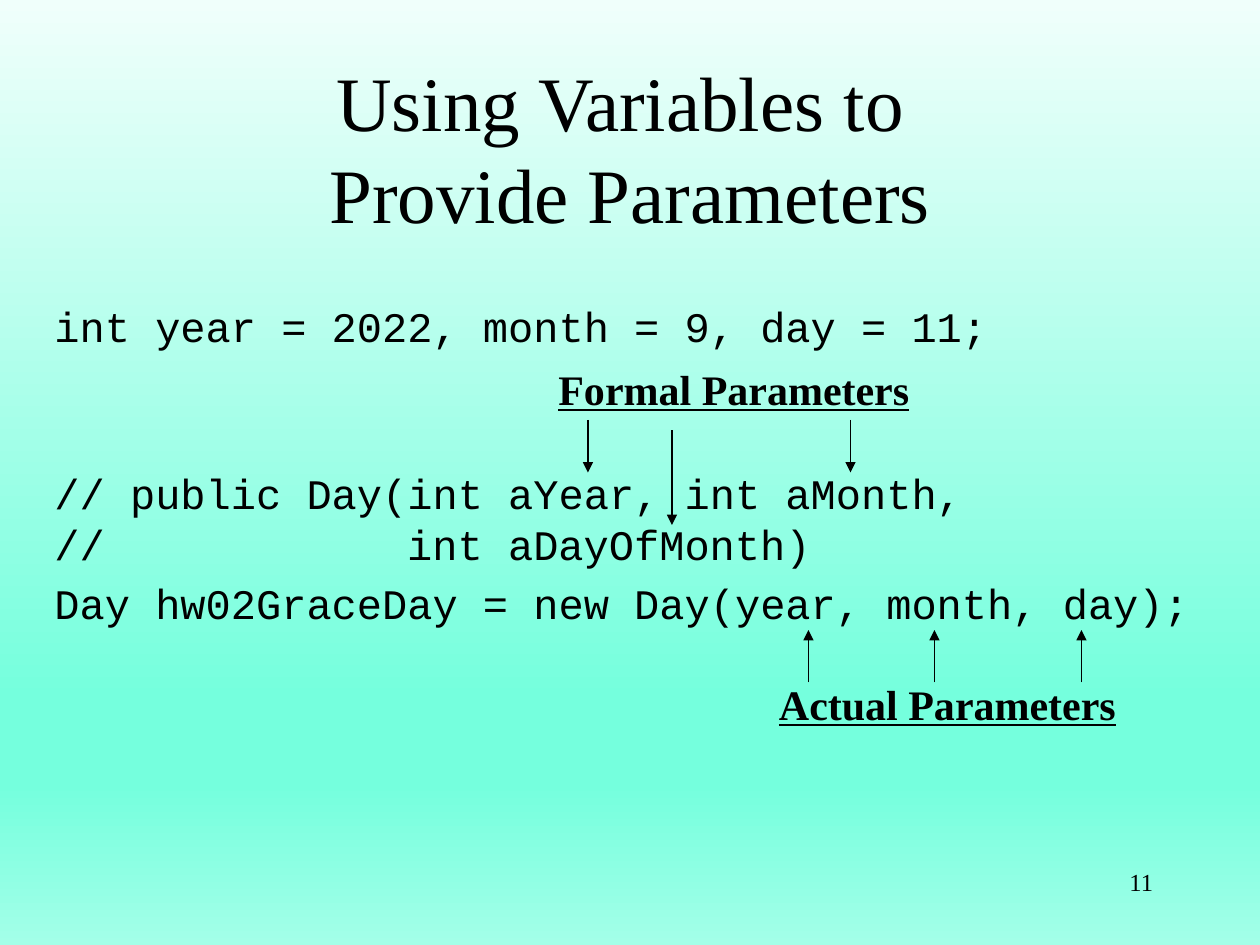
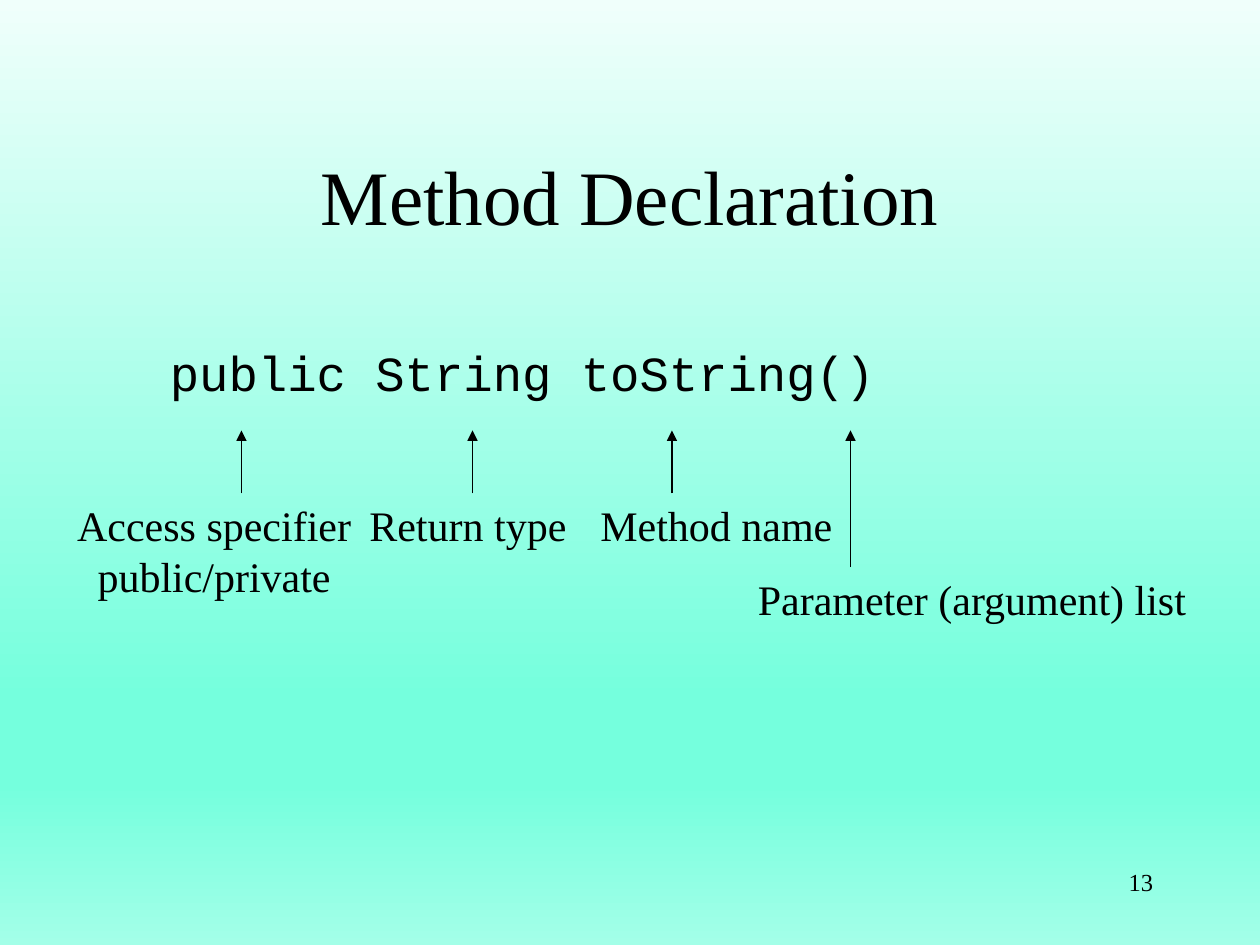
from collections import namedtuple
from copy import deepcopy

from lxml import etree
from pptx import Presentation
from pptx.dml.color import RGBColor
from pptx.enum.shapes import MSO_CONNECTOR
from pptx.enum.text import MSO_ANCHOR, PP_ALIGN
from pptx.oxml.ns import qn
from pptx.util import Inches, Pt

LEFT, CENTER, RIGHT = PP_ALIGN.LEFT, PP_ALIGN.CENTER, PP_ALIGN.RIGHT
TOP, MIDDLE = MSO_ANCHOR.TOP, MSO_ANCHOR.MIDDLE
STRAIGHT = MSO_CONNECTOR.STRAIGHT

INK = RGBColor(0x00, 0x00, 0x00)
MINT_WHITE = RGBColor(0xF0, 0xFF, 0xFB)
MINT = RGBColor(0x75, 0xFF, 0xDD)
MINT_PALE = RGBColor(0xA3, 0xFF, 0xE8)
BACKGROUND_STOPS = [(0, MINT_WHITE), (0.74, MINT), (0.83, MINT), (1, MINT_PALE)]

SERIF = "Times New Roman"
MONO = "Courier New"
MONO_WIDTH = 0.6  # character width as a share of the font size

# Every position is counted in cells of a 120 by 90 grid.
COLUMNS, ROWS = 120, 90
CELL = Inches(10) // COLUMNS
Box = namedtuple("Box", "left top width height")
NUMBER_BOX = Box(86, 82, 25, 6)


def cells(count):
    return round(count * CELL)


def add_text(page, box, lines, size=24, font=SERIF, bold=False, underline=False,
             align=LEFT, anchor=TOP, wrap=True, gaps=()):
    """Write one paragraph per line; gaps lists the points before each one."""
    frame = page.shapes.add_textbox(*map(cells, box)).text_frame
    frame.word_wrap = wrap
    frame.vertical_anchor = anchor
    for index, line in enumerate(lines):
        para = frame.add_paragraph() if index else frame.paragraphs[0]
        para.text = line
        para.alignment = align
        if gaps:
            para.space_before = Pt(gaps[index])
        for span in para.runs:
            span.font.name = font
            span.font.size = Pt(size)
            span.font.bold = bold
            span.font.underline = underline
            span.font.color.rgb = INK
    return frame


def add_tab_stop(para, position):
    properties = para._p.get_or_add_pPr()
    stops = etree.SubElement(properties, qn("a:tabLst"))
    etree.SubElement(stops, qn("a:tab"), pos=str(int(position)), algn="l")


def add_arrow(page, column, start_row, end_row):
    arrow = page.shapes.add_connector(
        STRAIGHT, cells(column), cells(start_row), cells(column), cells(end_row))
    arrow.line.color.rgb = INK
    arrow.line.width = Pt(0.75)
    etree.SubElement(arrow.line._get_or_add_ln(), qn("a:tailEnd"), type="triangle")
    etree.SubElement(arrow._element.spPr, qn("a:effectLst"))


def add_callout(page, box, lines, arrows, **text_format):
    """Add a label whose arrows (column, start row, end row) count from its corner."""
    add_text(page, box, lines, **text_format)
    for column, start_row, end_row in arrows:
        add_arrow(page, box.left + column, box.top + start_row, box.top + end_row)


def add_page(deck, title, title_box, number):
    page = deck.slides.add_slide(deck.slide_layouts[6])
    add_text(page, title_box, [title], size=44, align=CENTER, anchor=MIDDLE)
    add_text(page, NUMBER_BOX, [number], size=14, align=RIGHT)
    return page


def paint_background(master):
    fill = master.background.fill
    fill.gradient()
    fill.gradient_angle = 270
    stop_list = master.element.find(".//" + qn("p:bg")).find(".//" + qn("a:gsLst"))
    while len(stop_list) < len(BACKGROUND_STOPS):
        stop_list.append(deepcopy(stop_list[0]))
    for stop, (position, color) in zip(fill.gradient_stops, BACKGROUND_STOPS):
        stop.position = position
        stop.color.rgb = color


def add_constructor_code(page, box, size=24):
    code = add_text(page, box, [
        "int year = 2022, month = 9, day = 11;",
        "// public Day(int aYear, int aMonth,",
        "//\tint aDayOfMonth)",
        "Day hw02GraceDay = new Day(year, month, day);",
    ], size=size, font=MONO, gaps=(5, 67, 0, 5))
    parameter_column = len("// public Day(")
    add_tab_stop(code.paragraphs[2], Pt(size * MONO_WIDTH * parameter_column))


def build_parameters_page(deck):
    page = add_page(deck, "Using Variables to \vProvide Parameters",
                    Box(9, 5, 102, 18), "11")
    add_constructor_code(page, Box(4, 28, 111, 50))
    heading = {"bold": True, "underline": True}
    add_callout(page, Box(52, 34, 37, 6), ["Formal Parameters"],
                [(4, 6, 11), (12, 7, 16), (29, 6, 11)], **heading)
    add_callout(page, Box(73, 64, 40, 6), ["Actual Parameters"],
                [(column, 1, -4) for column in (4, 16, 30)], **heading)


def build_declaration_page(deck):
    page = add_page(deck, "Method Declaration", Box(9, 10, 102, 17), "13")
    add_text(page, Box(15, 32, 93, 10), ["public String toString()"],
             size=28, font=MONO, gaps=(5.6,))
    arrow_tip = 41
    callouts = [
        (Box(6, 47, 28.8, 11), ["Access specifier", "public/private"], 17, CENTER),
        (Box(34, 47, 21.4, 6), ["Return type"], 11, LEFT),
        (Box(56, 47, 24.7, 6), ["Method name"], 8, LEFT),
        (Box(71, 54, 43.6, 6), ["Parameter (argument) list"], 10, LEFT),
    ]
    for box, lines, column, align in callouts:
        add_callout(page, box, lines, [(column, 0, arrow_tip - box.top)],
                    align=align, wrap=False)


def main():
    deck = Presentation()
    deck.slide_width, deck.slide_height = cells(COLUMNS), cells(ROWS)
    paint_background(deck.slide_master)
    build_parameters_page(deck)
    build_declaration_page(deck)
    deck.save("out.pptx")


if __name__ == "__main__":
    main()
